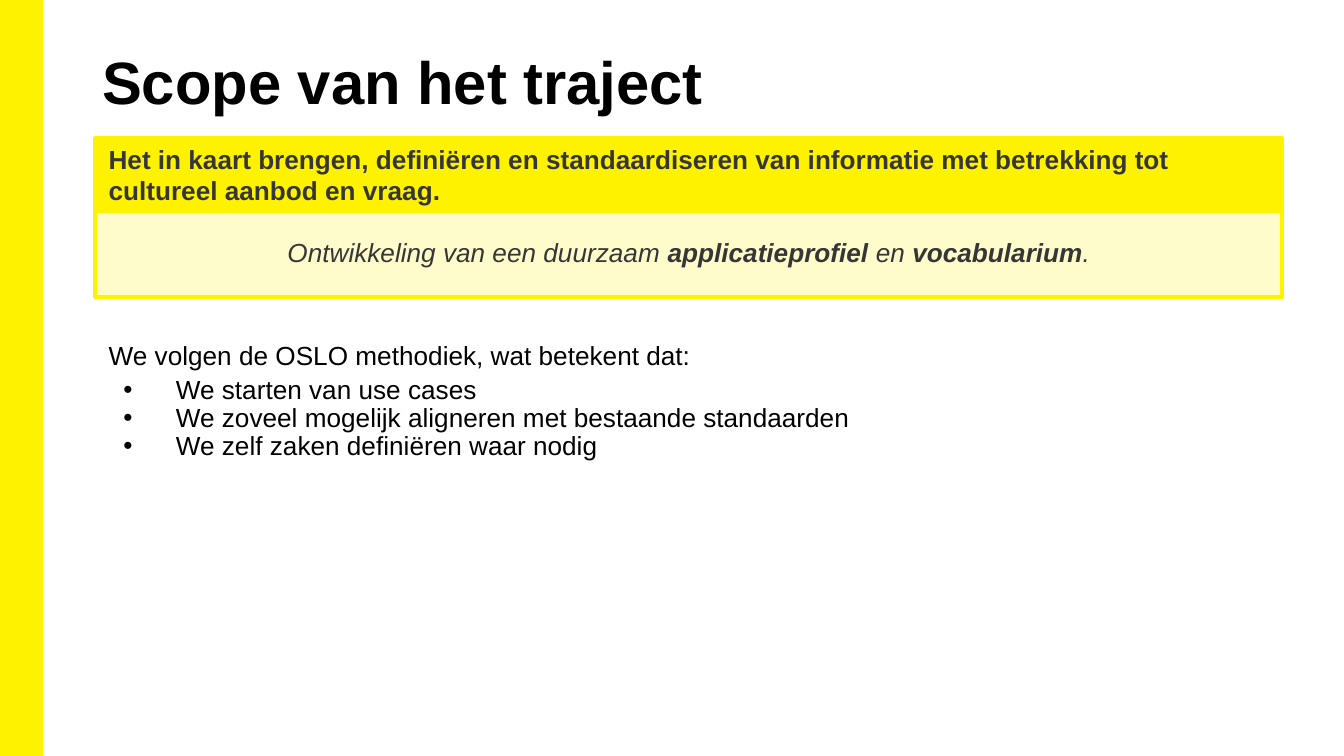
from lxml.etree import SubElement
from pptx import Presentation
from pptx.dml.color import RGBColor
from pptx.enum.shapes import MSO_SHAPE
from pptx.enum.text import MSO_ANCHOR, PP_ALIGN
from pptx.oxml.ns import qn
from pptx.util import Inches, Pt

COLORS = {"yellow": "FFF200", "pale": "FFFCCC", "grey": "373636", "black": "000000"}
FONT = "Arial"
WIDTH = 10
HEIGHT = WIDTH * 9 / 16
LEFT, BOX_WIDTH = 0.71, 8.83

TITLE = "Scope van het traject"
GOAL = ("Het in kaart brengen, definiëren en standaardiseren van informatie "
        "met betrekking tot cultureel aanbod en vraag.")
RESULT = [  # text, bold
    ("Ontwikkeling van een duurzaam ", False),
    ("applicatieprofiel", True),
    (" en ", False),
    ("vocabularium", True),
    (".", False),
]
INTRO = "We volgen de OSLO methodiek, wat betekent dat:"
STEPS = [
    "We starten van use cases",
    "We zoveel mogelijk aligneren met bestaande standaarden",
    "We zelf zaken definiëren waar nodig",
]


def add_rect(slide, box, fill, line_width):
    s = slide.shapes.add_shape(MSO_SHAPE.RECTANGLE, *map(Inches, box))
    s.shadow.inherit = False
    s.fill.solid()
    s.fill.fore_color.rgb = rgb(fill)
    s.line.color.rgb = rgb("yellow")
    s.line.width = Pt(line_width)
    return s


def rgb(name):
    return RGBColor.from_string(COLORS[name])


def set_frame(tf, side, top):
    """Wrap the text and set its insets."""
    tf.word_wrap = True
    tf.margin_left = tf.margin_right = Inches(side)
    tf.margin_top = tf.margin_bottom = Inches(top)
    return tf


def add_text(slide, box, side, top):
    return set_frame(slide.shapes.add_textbox(*map(Inches, box)).text_frame, side, top)


def add_run(p, text, size=14, color="black", bold=False, italic=False):
    r = p.add_run()
    r.text = text
    r.font.name, r.font.size = FONT, Pt(size)
    r.font.bold, r.font.italic = bold, italic
    r.font.color.rgb = rgb(color)


def add_bullet(p):
    ppr = p._p.get_or_add_pPr()
    ppr.set("marL", str(Inches(0.5)))
    ppr.set("indent", str(Inches(-0.39)))
    color = SubElement(ppr, qn("a:buClr"))
    SubElement(color, qn("a:srgbClr"), val=COLORS["black"])
    SubElement(ppr, qn("a:buFont"), typeface=FONT)
    SubElement(ppr, qn("a:buChar"), char="•")


prs = Presentation()
prs.slide_width, prs.slide_height = Inches(WIDTH), Inches(HEIGHT)
slide = prs.slides.add_slide(prs.slide_layouts[6])

add_rect(slide, (0, 0, 0.31, HEIGHT), "yellow", 1)
add_rect(slide, (LEFT, 1.56, BOX_WIDTH, 0.65), "pale", 2)

tf = add_text(slide, (0.69, 0.29, 8.62, 0.72), 0.07, 0.04)
add_run(tf.paragraphs[0], TITLE, size=32, bold=True)

goal = add_rect(slide, (LEFT, 1.03, BOX_WIDTH, 0.54), "yellow", 2)
tf = set_frame(goal.text_frame, 0.1, 0.05)
tf.vertical_anchor = MSO_ANCHOR.MIDDLE
p = tf.paragraphs[0]
p.alignment = PP_ALIGN.LEFT
add_run(p, GOAL, color="grey", bold=True)

tf = add_text(slide, (LEFT, 1.71, BOX_WIDTH, 0.34), 0.1, 0.05)
p = tf.paragraphs[0]
p.alignment = PP_ALIGN.CENTER
for text, bold in RESULT:
    add_run(p, text, color="grey", bold=bold, italic=True)

tf = add_text(slide, (LEFT, 2.45, 8.79, 2.68), 0.1, 0.1)
p = tf.paragraphs[0]
p.line_spacing = 0.9
add_run(p, INTRO)
for i, step in enumerate(STEPS):
    p = tf.add_paragraph()
    add_bullet(p)
    p.line_spacing = 0.9
    p.space_before = Pt(0 if i else 3)
    add_run(p, step)

prs.save("out.pptx")
